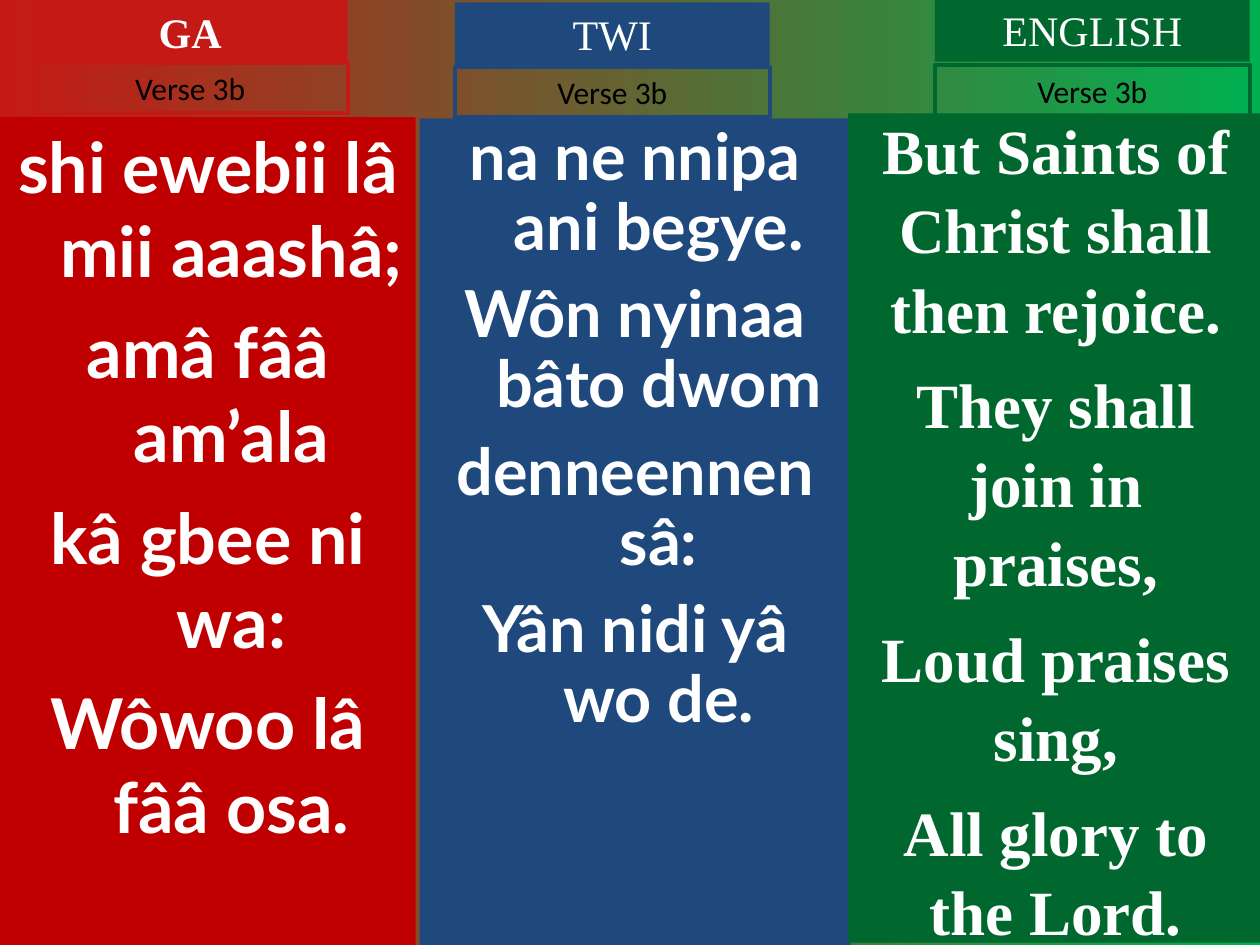
from pptx import Presentation
from pptx.dml.color import RGBColor
from pptx.enum.shapes import MSO_SHAPE
from pptx.enum.text import MSO_ANCHOR, MSO_AUTO_SIZE, PP_ALIGN
from pptx.util import Pt

WHITE = RGBColor(0xFF, 0xFF, 0xFF)
BLACK = RGBColor(0x00, 0x00, 0x00)
RED = RGBColor(0xC5, 0x19, 0x15)
DARK_RED = RGBColor(0xC0, 0x00, 0x00)
BLUE = RGBColor(0x1F, 0x49, 0x7D)
DARK_GREEN = RGBColor(0x00, 0x68, 0x2F)
BRIGHT_GREEN = RGBColor(0x00, 0xB0, 0x50)

HEADING_WIDTH = 180
TITLE_HEIGHT = 36
LABEL_HEIGHT = 28.8


def paint_background(slide):
    fill = slide.background.fill
    fill.gradient()
    fill.gradient_angle = 0
    for stop, color, position in zip(fill.gradient_stops, (RED, BRIGHT_GREEN), (0, 1)):
        stop.color.rgb = color
        stop.position = position


def add_box(slide, box, lines, font_name, size, color, bold=False, fill=None, outline=None):
    """Add a rectangle with one centred paragraph per line; box is left, top, width, height."""
    shape = slide.shapes.add_shape(MSO_SHAPE.RECTANGLE, *(Pt(length) for length in box))
    shape.shadow.inherit = False
    if fill is None:
        shape.fill.background()
    else:
        shape.fill.solid()
        shape.fill.fore_color.rgb = fill
    if outline is None:
        shape.line.fill.background()
    else:
        shape.line.color.rgb = outline
        shape.line.width = Pt(2.25)

    frame = shape.text_frame
    frame.word_wrap = True
    frame.vertical_anchor = MSO_ANCHOR.TOP
    for index, line in enumerate(lines):
        paragraph = frame.paragraphs[0] if index == 0 else frame.add_paragraph()
        paragraph.text = line
        paragraph.alignment = PP_ALIGN.CENTER
        paragraph.font.name = font_name
        paragraph.font.size = Pt(size)
        paragraph.font.bold = bold
        paragraph.font.color.rgb = color
    return shape


def add_verse(slide, box, lines, fill, font_name, size, gap, line_spacing=1.0, hanging=0):
    shape = add_box(slide, box, lines, font_name, size, WHITE, bold=True, fill=fill)
    for index, paragraph in enumerate(shape.text_frame.paragraphs):
        paragraph.line_spacing = line_spacing
        if index:
            paragraph.space_before = Pt(gap)
        if hanging:
            properties = paragraph._p.get_or_add_pPr()
            properties.set("marL", str(Pt(hanging)))
            properties.set("indent", str(-Pt(hanging)))
    return shape


def add_heading(slide, left, title_top, label_top, language, color, bold=False):
    """Add the language name with the outlined verse label below it."""
    title = add_box(slide, (left, title_top, HEADING_WIDTH, TITLE_HEIGHT), [language],
                    "Times New Roman", 24, WHITE, bold=bold, fill=color)
    label = add_box(slide, (left, label_top, HEADING_WIDTH, LABEL_HEIGHT), ["Verse 3b"],
                    "Calibri", 18, BLACK, outline=color)
    for shape in (title, label):
        shape.text_frame.auto_size = MSO_AUTO_SIZE.SHAPE_TO_FIT_TEXT


def main():
    presentation = Presentation()
    presentation.slide_width = Pt(720)
    presentation.slide_height = Pt(540)
    slide = presentation.slides.add_slide(presentation.slide_layouts[6])
    paint_background(slide)

    add_verse(slide, (0, 67, 237.6, 473),
              ["shi ewebii lâ mii aaashâ;", "amâ fââ am’ala", "kâ gbee ni wa:",
               "Wôwoo lâ fââ osa."],
              DARK_RED, "Lato", 40, gap=10, hanging=27)
    add_verse(slide, (239.8, 67.7, 246.2, 472.3),
              ["na ne nnipa ani begye.", "Wôn nyinaa bâto dwom", "denneennen sâ:",
               "Yân nidi yâ wo de."],
              BLUE, "Lato", 37, gap=10, line_spacing=0.9, hanging=27)
    english = add_verse(slide, (484.6, 64.8, 237.6, 473.8),
                        ["But Saints of Christ shall then rejoice.",
                         "They shall join in praises,", "Loud praises sing,",
                         "All glory to the Lord."],
                        DARK_GREEN, "Times New Roman", 36, gap=9, line_spacing=1.05)
    english.text_frame.vertical_anchor = MSO_ANCHOR.MIDDLE

    add_heading(slide, 18.7, 0, 36, "GA", RED, bold=True)
    add_heading(slide, 259.9, 1.4, 38.2, "TWI", BLUE)
    add_heading(slide, 534.2, -0.7, 37.4, "ENGLISH", DARK_GREEN)

    presentation.save("out.pptx")


if __name__ == "__main__":
    main()
